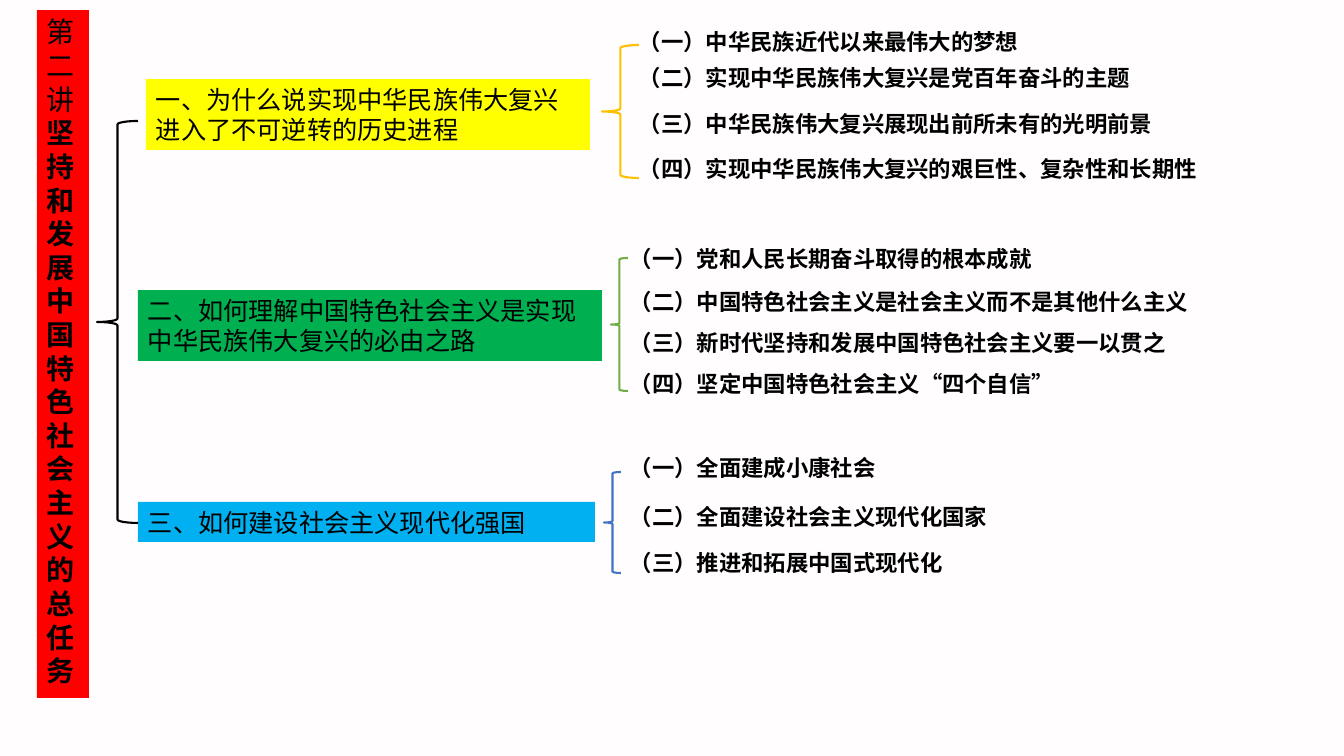
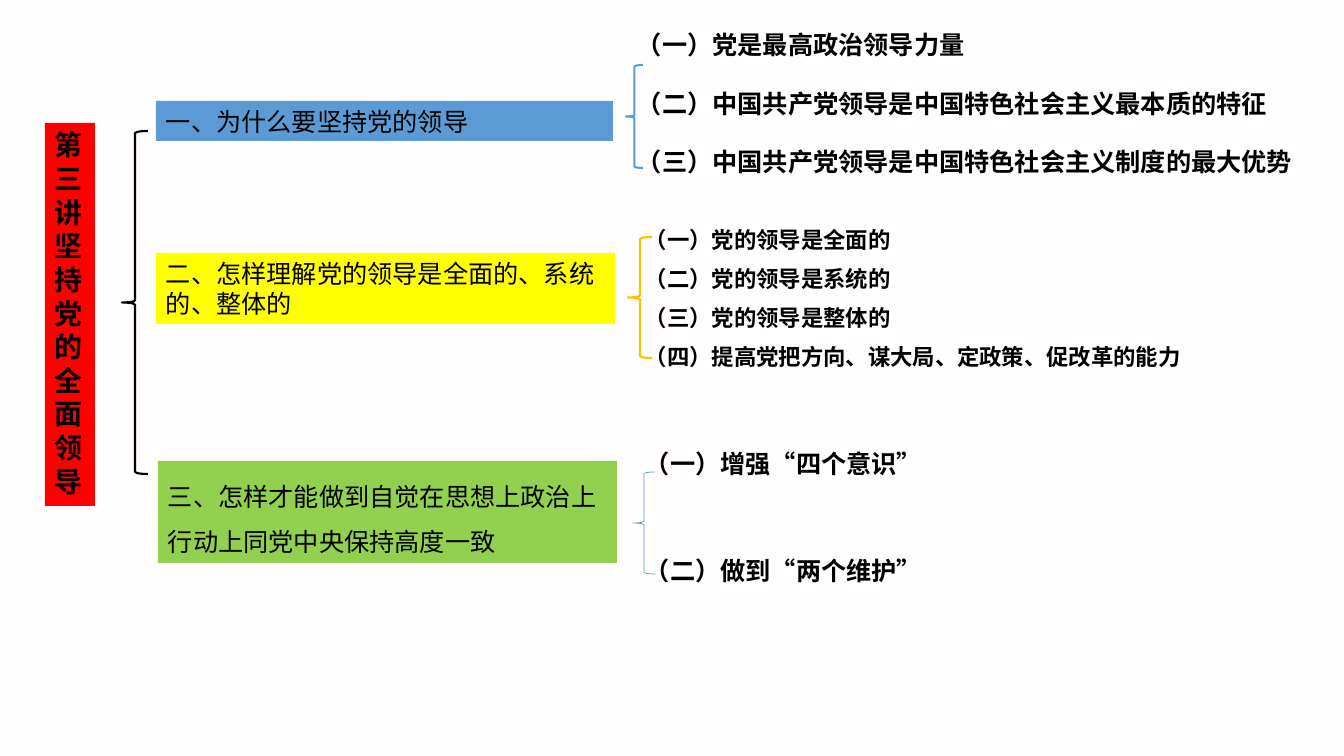
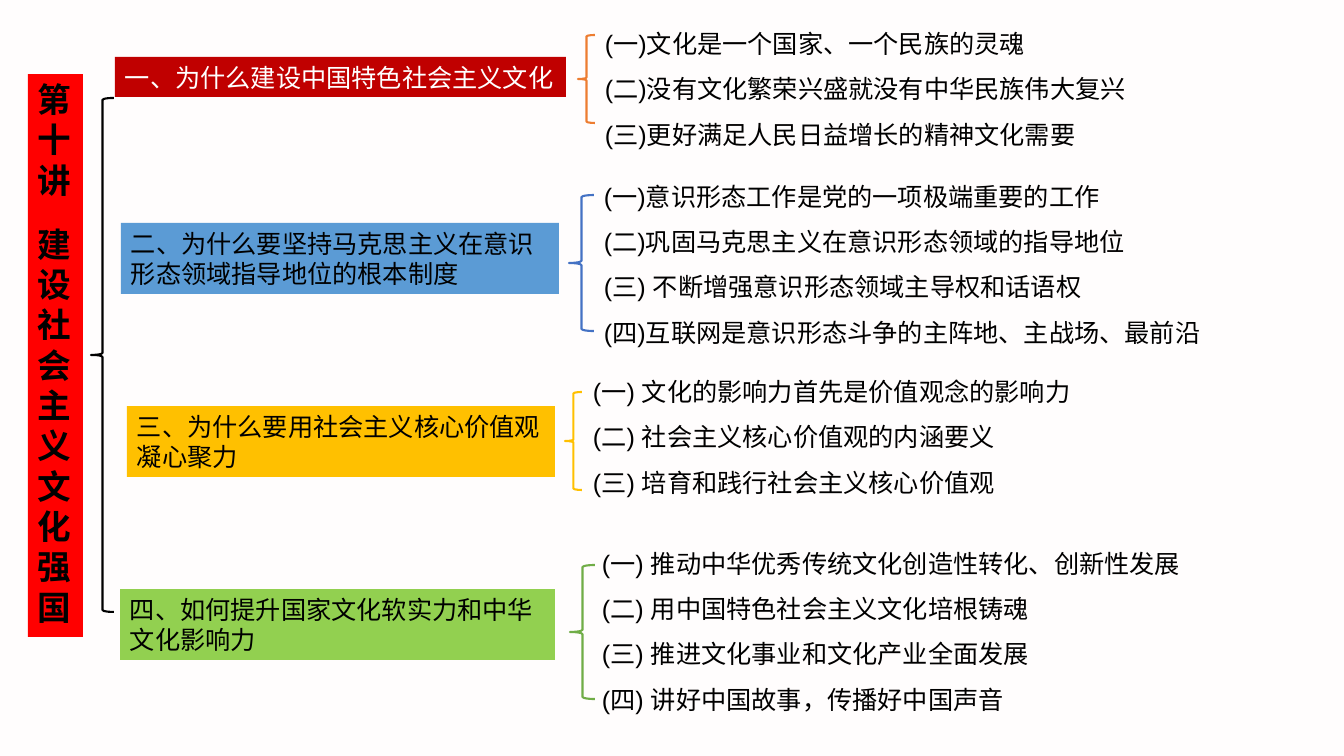
"""Builds three lecture outline slides with banners, topic boxes, braces and points."""
from lxml.etree import SubElement
from pptx import Presentation
from pptx.dml.color import RGBColor
from pptx.enum.shapes import MSO_SHAPE as Preset
from pptx.enum.text import MSO_ANCHOR as Anchor, MSO_AUTO_SIZE as AutoSize, PP_ALIGN as Align
from pptx.oxml.ns import qn
from pptx.util import Emu, Pt

SCALE = 914400 / 100.8
SANS, SANS_JP, LATIN = "Noto Sans CJK SC", "Noto Sans CJK JP", "Arial"
BLACK, WHITE, RED, YELLOW = "000000", "FFFFFF", "FF0000", "FFFF00"
GOLD, BLUE, ROYAL, LEAF, LIME = "FFC000", "5B9BD5", "4472C4", "70AD47", "92D050"


def px(*lengths):
    return [Emu(round(length * SCALE)) for length in lengths]


def color(code):
    return RGBColor.from_string(code)


class Outline:
    def __init__(self):
        self.deck = Presentation()
        self.deck.slide_width, self.deck.slide_height = px(1344, 756)
        self.page = None

    def new_page(self):
        self.page = self.deck.slides.add_slide(self.deck.slide_layouts[6])
        backdrop = self.page.background.fill
        backdrop.solid()
        backdrop.fore_color.rgb = color("FFFDFD")

    def text(self, at, paragraphs, size, face=LATIN, bold=False, ink=BLACK, fill=None, spacing=1.0, gap=0):
        box = self.page.shapes.add_textbox(*px(*at))
        if fill:
            box.fill.solid()
            box.fill.fore_color.rgb = color(fill)
        frame = box.text_frame
        frame_format = {"word_wrap": True, "auto_size": AutoSize.SHAPE_TO_FIT_TEXT,
                        "vertical_anchor": Anchor.TOP}
        for name, value in frame_format.items():
            setattr(frame, name, value)
        for index, content in enumerate(paragraphs):
            para = frame.add_paragraph() if index else frame.paragraphs[0]
            para_format = {"alignment": Align.LEFT, "line_spacing": spacing,
                           "space_before": Pt(gap if index else 0)}
            for name, value in para_format.items():
                setattr(para, name, value)
            spans = [(content, {})] if isinstance(content, str) else content
            for words, changes in spans:
                self.span(para, words, ink, {"size": Pt(size), "name": face, "bold": bold} | changes)

    def span(self, para, words, ink, font_format):
        span = para.add_run()
        span.text = words
        for name, value in font_format.items():
            setattr(span.font, name, value)
        span.font.color.rgb = color(ink)
        face = font_format["name"]
        east_asian = SubElement(span.font._element, qn("a:ea"))
        east_asian.set("typeface", SANS if face == LATIN else face)

    def banner(self, at, paragraphs, size=20, gap=0):
        self.text(at, paragraphs, size, SANS, True, fill=RED, gap=gap)

    def topic(self, at, words, fill, ink=BLACK, spacing=1.0):
        self.text(at, [words], 18, ink=ink, fill=fill, spacing=spacing)

    def points(self, left, width, tops, lines, size=16):
        height = 37 if size == 16 else 40
        for top, line in zip(tops, lines):
            self.text((left, top, width, height), [line], size, SANS, True)

    def point_list(self, left, top, lines):
        self.text((left, top, 672, 10 + 46 * len(lines)), lines, 18, spacing=1.5)

    def brace(self, at, ink, weight=1.5):
        brace = self.page.shapes.add_shape(Preset.LEFT_BRACE, *px(*at))
        brace.shadow.inherit = False
        brace.fill.background()
        brace.line.color.rgb = color(ink)
        brace.line.width = Pt(weight)


def general_task(outline):
    outline.new_page()
    outline.banner((37, 10, 52, 688), [[
        ("第二讲", {"name": SANS_JP, "bold": False}),
        ("坚持和发展中国特色社会主义的总任务", {})]])
    outline.topic((146, 79, 444, 71), "一、为什么说实现中华民族伟大复兴进入了不可逆转的历史进程", YELLOW)
    outline.topic((138, 290, 464, 71), "二、如何理解中国特色社会主义是实现中华民族伟大复兴的必由之路", "00B050")
    outline.topic((138, 502, 457, 40), "三、如何建设社会主义现代化强国", "00B0F0")
    outline.brace((97, 121, 41, 402), BLACK)
    outline.brace((602, 45, 37, 133), GOLD)
    outline.brace((611, 258, 17, 133), LEAF)
    outline.brace((604, 472, 17, 101), ROYAL)
    outline.points(629, 591, (23, 59, 105, 150), [
        "（一）中华民族近代以来最伟大的梦想",
        "（二）实现中华民族伟大复兴是党百年奋斗的主题",
        "（三）中华民族伟大复兴展现出前所未有的光明前景",
        "（四）实现中华民族伟大复兴的艰巨性、复杂性和长期性"])
    outline.points(620, 608, (240, 283, 324, 365), [
        "（一）党和人民长期奋斗取得的根本成就",
        "（二）中国特色社会主义是社会主义而不是其他什么主义",
        "（三）新时代坚持和发展中国特色社会主义要一以贯之",
        "（四）坚定中国特色社会主义“四个自信”"])
    outline.points(620, 421, (449, 498, 544), [
        "（一）全面建成小康社会",
        "（二）全面建设社会主义现代化国家",
        "（三）推进和拓展中国式现代化"])


def party_leadership(outline):
    outline.new_page()
    outline.banner((45, 123, 50, 383), [[("第三讲", {"name": SANS_JP}), ("坚持党的全面领导", {})]])
    outline.topic((156, 101, 457, 40), "一、为什么要坚持党的领导", BLUE)
    outline.topic((156, 253, 459, 71), "二、怎样理解党的领导是全面的、系统的、整体的", YELLOW)
    outline.topic((158, 461, 459, 102), "三、怎样才能做到自觉在思想上政治上行动上同党中央保持高度一致", LIME, spacing=1.5)
    outline.brace((122, 131, 26, 343), BLACK)
    outline.brace((626, 65, 17, 103), BLUE)
    outline.brace((628, 237, 24, 121), GOLD)
    outline.brace((633, 472, 22, 102), BLUE, 0.5)
    outline.points(627, 685, (24, 83, 141), [
        "（一）党是最高政治领导力量",
        "（二）中国共产党领导是中国特色社会主义最本质的特征",
        "（三）中国共产党领导是中国特色社会主义制度的最大优势"], 18)
    outline.points(635, 570, (221, 260, 299, 338), [
        "（一）党的领导是全面的",
        "（二）党的领导是系统的",
        "（三）党的领导是整体的",
        "（四）提高党把方向、谋大局、定政策、促改革的能力"])
    outline.points(635, 414, (443, 550), ["（一）增强“四个意识”", "（二）做到“两个维护”"], 18)


def socialist_culture(outline):
    outline.new_page()
    outline.banner((28, 74, 55, 563), ["第十讲", "建设社会主义文化强国"], 24, 17)
    outline.topic((115, 57, 451, 40), "一、为什么建设中国特色社会主义文化", "C00000", WHITE)
    outline.topic((121, 223, 438, 71), "二、为什么要坚持马克思主义在意识形态领域指导地位的根本制度", BLUE)
    outline.topic((127, 406, 428, 71), "三、为什么要用社会主义核心价值观凝心聚力", GOLD)
    outline.topic((120, 589, 435, 71), "四、如何提升国家文化软实力和中华文化影响力", LIME)
    outline.brace((91, 98, 23, 514), BLACK)
    outline.brace((578, 35, 17, 88), "ED7D31")
    outline.brace((569, 195, 25, 136), ROYAL)
    outline.brace((565, 392, 17, 98), GOLD)
    outline.brace((570, 565, 25, 134), LEAF)
    outline.point_list(595, 8, [
        "(一)文化是一个国家、一个民族的灵魂",
        "(二)没有文化繁荣兴盛就没有中华民族伟大复兴",
        "(三)更好满足人民日益增长的精神文化需要"])
    outline.point_list(594, 161, [
        "(一)意识形态工作是党的一项极端重要的工作",
        "(二)巩固马克思主义在意识形态领域的指导地位",
        "(三) 不断增强意识形态领域主导权和话语权",
        "(四)互联网是意识形态斗争的主阵地、主战场、最前沿"])
    outline.point_list(583, 356, [
        "(一) 文化的影响力首先是价值观念的影响力",
        "(二) 社会主义核心价值观的内涵要义",
        "(三) 培育和践行社会主义核心价值观"])
    outline.point_list(592, 528, [
        "(一) 推动中华优秀传统文化创造性转化、创新性发展",
        "(二) 用中国特色社会主义文化培根铸魂",
        "(三) 推进文化事业和文化产业全面发展",
        "(四) 讲好中国故事，传播好中国声音"])


def main():
    outline = Outline()
    for build in (general_task, party_leadership, socialist_culture):
        build(outline)
    outline.deck.save("out.pptx")


if __name__ == "__main__":
    main()
